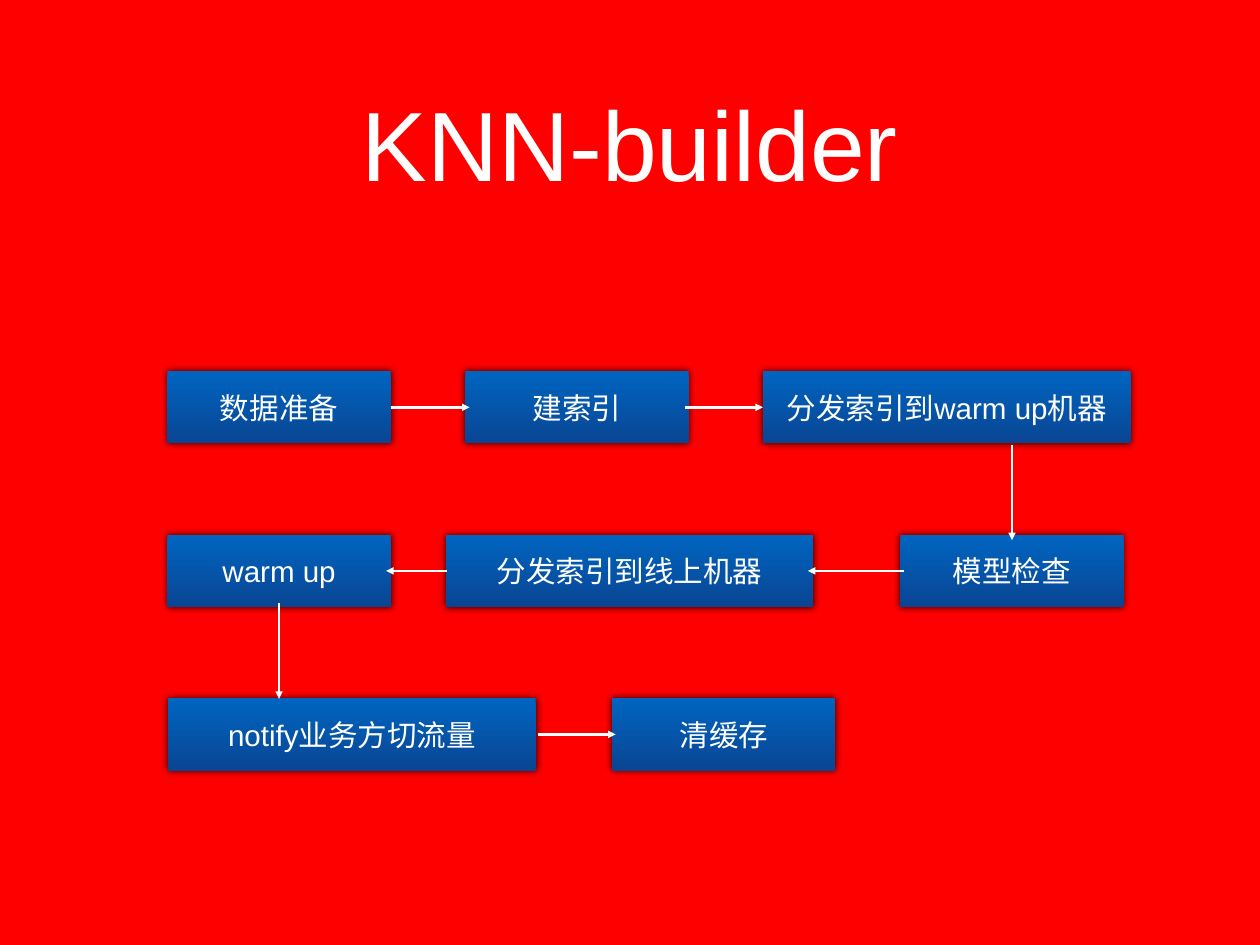
import pptx
import pptx.util
import pptx.oxml
import pptx.oxml.ns
import pptx.dml.color
import pptx.enum.shapes
import pptx.enum.text
import lxml.etree
from dataclasses import dataclass

Cm = pptx.util.Cm
Pt = pptx.util.Pt
RGB = pptx.dml.color.RGBColor.from_string
qn = pptx.oxml.ns.qn


@dataclass(frozen=True)
class Theme:
    font: str = "Arial"
    background: str = "FF0000"
    ink: str = "FFFFFF"
    step_top: str = "0065C1"
    step_bottom: str = "094593"
    shadow: str = "000000"
    title_size: int = 80
    step_size: int = 24
    line_width: int = 2


theme = Theme()

TITLE = "KNN-builder"
NARROW, WIDE = 6.4, 10.54
STEPS = [
    [("数据准备", 4.8, NARROW), ("建索引", 13.34, NARROW), ("分发索引到warm up机器", 21.87, WIDE)],
    [("模型检查", 25.81, NARROW), ("分发索引到线上机器", 12.78, WIDE), ("warm up", 4.8, NARROW)],
    [("notify业务方切流量", 4.82, WIDE), ("清缓存", 17.55, NARROW)],
]
ACROSS = [
    [(11.2, 13.46), (19.63, 21.87)],
    [(25.91, 23.16), (12.8, 11.07)],
    [(15.42, 17.65)],
]
DOWN = [(29.01, 12.75), (8.0, 17.3)]
DOWN_LENGTH = 2.74
FIRST_ROW, ROW_STEP, STEP_HEIGHT = 10.64, 4.69, 2.08
INSET = 0.15


def write(shape, text, size):
    frame = shape.text_frame
    frame.word_wrap = True
    frame.vertical_anchor = pptx.enum.text.MSO_ANCHOR.MIDDLE
    frame.margin_left = frame.margin_right = Cm(INSET)
    frame.margin_top = frame.margin_bottom = Cm(INSET)
    para = frame.paragraphs[0]
    para.text = text
    para.alignment = pptx.enum.text.PP_ALIGN.CENTER
    para.font.name = theme.font
    para.font.size = Pt(size)
    para.font.color.rgb = RGB(theme.ink)


def add_step(page, text, left, top, width):
    box = page.shapes.add_shape(
        pptx.enum.shapes.MSO_SHAPE.RECTANGLE, Cm(left), Cm(top), Cm(width), Cm(STEP_HEIGHT))
    box.line.fill.background()
    box.fill.gradient()
    box.fill.gradient_angle = 270
    for stop, position, color in zip(
            box.fill.gradient_stops, (0, 1), (theme.step_top, theme.step_bottom)):
        stop.position = position
        stop.color.rgb = RGB(color)
    box.shadow.inherit = False
    effects = box._element.spPr.find(qn("a:effectLst"))
    shadow = lxml.etree.SubElement(
        effects, qn("a:outerShdw"), blurRad=str(Pt(6)), dist="0", dir="18900000", rotWithShape="0")
    color = lxml.etree.SubElement(shadow, qn("a:srgbClr"), val=theme.shadow)
    lxml.etree.SubElement(color, qn("a:alpha"), val="80000")
    write(box, text, theme.step_size)


def add_arrow(page, *ends):
    arrow = page.shapes.add_connector(
        pptx.enum.shapes.MSO_CONNECTOR.STRAIGHT, *(Cm(end) for end in ends))
    arrow.line.color.rgb = RGB(theme.ink)
    arrow.line.width = Pt(theme.line_width)
    lxml.etree.SubElement(arrow.line._get_or_add_ln(), qn("a:tailEnd"), type="triangle")
    lxml.etree.SubElement(arrow._element.spPr, qn("a:effectLst"))


deck = pptx.Presentation()
deck.slide_width, deck.slide_height = Cm(36.12), Cm(27.1)
page = deck.slides.add_slide(deck.slide_layouts[6])
page.background.fill.solid()
page.background.fill.fore_color.rgb = RGB(theme.background)

title = page.shapes.add_textbox(Cm(2.64), Cm(1.12), Cm(30.84), Cm(5.89))
write(title, TITLE, theme.title_size)

row_tops = [FIRST_ROW + row * ROW_STEP for row in range(len(STEPS))]
for top, steps in zip(row_tops, STEPS):
    for text, left, width in steps:
        add_step(page, text, left, top, width)

for top, arrows in zip(row_tops, ACROSS):
    middle = top + STEP_HEIGHT / 2
    for start, end in arrows:
        add_arrow(page, start, middle, end, middle)
for center, start in DOWN:
    add_arrow(page, center, start, center, start + DOWN_LENGTH)

deck.save("out.pptx")
